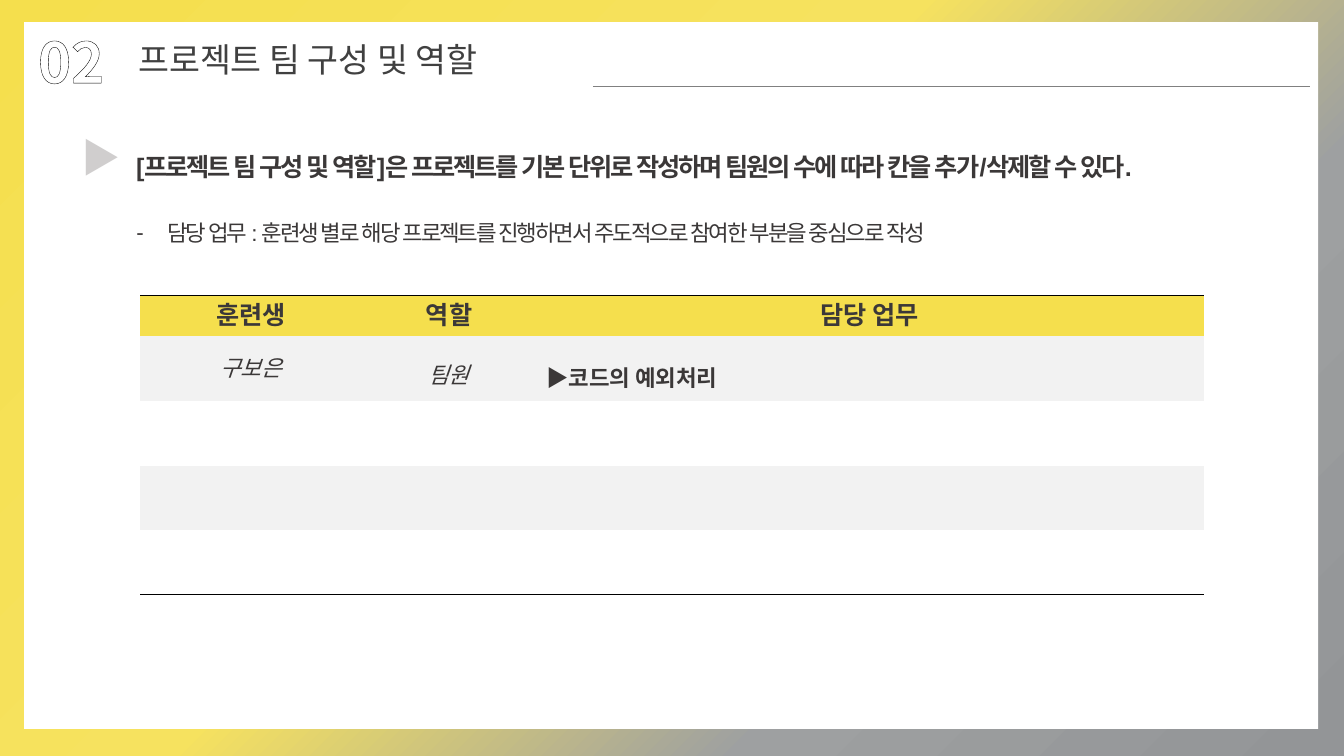
from lxml.etree import SubElement as Sub
from pptx import Presentation
from pptx.dml.color import RGBColor as Rgb
from pptx.enum.dml import MSO_PATTERN as Pat
from pptx.enum.shapes import MSO_CONNECTOR as Conn, MSO_SHAPE as Shape
from pptx.enum.text import MSO_ANCHOR as Anchor, MSO_AUTO_SIZE as Auto, PP_ALIGN as Align
from pptx.oxml import parse_xml
from pptx.oxml.ns import qn
from pptx.util import Cm, Pt

INK = {"white": "FFFFFF", "black": "000000", "text": "3B3838", "title": "404040",
       "rule": "808080", "gray": "939597", "pale": "D0CECE", "band": "F2F2F2",
       "gold": "F5DF4D", "sun": "F6E25F", "ash": "9EA0A1"}
NOTO, ARIAL, CALI = "Noto Sans CJK KR", "Arial", "Calibri"
NS = 'xmlns:a="http://schemas.openxmlformats.org/drawingml/2006/main"'
PLAIN = "{2D5ABB26-0587-4C30-8999-92F81FD0307C}"


def rgb(name):
    return Rgb.from_string(INK[name])


def edge(tag, color, width):
    return parse_xml(f'<a:{tag} {NS} w="{int(Pt(width))}"><a:solidFill>'
                     f'<a:srgbClr val="{INK[color]}"/></a:solidFill></a:{tag}>')


def write(para, text, size, face, color="text", back=None, bold=False,
          slant=False, line=None, gap=None):
    """Add one run; back makes a striped fill, line is (colour, points)."""
    run = para.add_run()
    run.text = text
    font = run.font
    font.size, font.bold, font.italic = Pt(size), bold, slant
    if back:
        font.fill.patterned()
        font.fill.pattern = Pat.DARK_UPWARD_DIAGONAL
        font.fill.fore_color.rgb = rgb(color)
        font.fill.back_color.rgb = rgb(back)
    else:
        font.color.rgb = rgb(color)
    font.name = face
    props = font._element
    Sub(props, qn("a:ea")).set("typeface", face)
    if line:
        props.insert(0, edge("ln", *line))
    if gap:
        props.set("spc", str(int(gap * 100)))


def place(shape, x, y, w, h):
    shape.left, shape.top, shape.width, shape.height = Cm(x), Cm(y), Cm(w), Cm(h)
    frame = shape.text_frame
    frame.word_wrap, frame.auto_size = True, Auto.NONE
    frame.vertical_anchor = Anchor.TOP
    para = frame.paragraphs[0]
    para.alignment, para.space_before = Align.LEFT, Pt(0)
    return para


def label(slide, *box):
    return place(slide.shapes.add_textbox(0, 0, 0, 0), *box)


# Gradient border and white sheet
def sheet(slide, x, y, w, h):
    fill = slide.background.fill
    fill.gradient()
    grad = slide.background._cSld.find(".//" + qn("a:gradFill"))
    stops = grad.find(qn("a:gsLst"))
    for old in list(stops):
        stops.remove(old)
    for pos, name in ((0, "gold"), (44, "sun"), (71, "ash"), (100, "gray")):
        stop = Sub(stops, qn("a:gs"), pos=str(pos * 1000))
        Sub(stop, qn("a:srgbClr"), val=INK[name])
    grad.find(qn("a:lin")).set("ang", str(45 * 60000))

    page = slide.shapes.add_shape(Shape.RECTANGLE, Cm(x), Cm(y), Cm(w), Cm(h))
    page.shadow.inherit = False
    page.fill.solid()
    page.fill.fore_color.rgb = rgb("white")
    page.line.fill.background()


# Section number, title and rule
def head(slide, x, y, w):
    num = label(slide, x, y, 3.23, 1.96)
    write(num, "02", 40, NOTO, back="white", bold=True, line=("black", 1.25))

    title = slide.shapes.title
    para = place(title, x + 2.52, y + 0.3, 10.77, 1.27)
    title.text_frame.word_wrap = False
    write(para, "프로젝트 팀 구성 및 역할", 24, NOTO, "title")

    rule = slide.shapes.add_connector(Conn.STRAIGHT, Cm(x + 14.23), Cm(y + 1.62),
                                      Cm(x + w), Cm(y + 1.62))
    rule.line.color.rgb, rule.line.width = rgb("rule"), Pt(1)
    Sub(rule._element.spPr, qn("a:effectLst"))


# Lead sentence with its marker and the dash item
def intro(slide, x, y, w):
    mark = label(slide, x, y, 1.4, 1.45)
    write(mark, "▶", 28, NOTO, "gray", back="pale", bold=True, line=("gray", 1))

    lead = label(slide, x + 1.38, y + 0.08, w - 1.38, 1.42)
    lead.line_spacing = 1.5
    write(lead, "[프로젝트 팀 구성 및 역할]은 프로젝트를 기본 단위로 작성하며 "
                "팀원의 수에 따라 칸을 추가/삭제할 수 있다.",
          18, ARIAL, bold=True, gap=-1.5)

    item = place(slide.placeholders[1], x + 1.38, y + 2.16, 25, 0.94)
    props = item._p.get_or_add_pPr()
    props.set("marL", str(int(Cm(0.79))))
    props.set("indent", str(-int(Cm(0.79))))
    Sub(props, qn("a:buFont"), typeface=ARIAL)
    Sub(props, qn("a:buChar"), char="-")
    write(item, "담당 업무 : 훈련생 별로 해당 프로젝트를 진행하면서 "
                "주도적으로 참여한 부분을 중심으로 작성", 16, ARIAL, gap=-1.5)


# Team table
def team(slide, x, y, w):
    wides, talls = (5.59, 4.39, w - 9.98), (0.76,) + (1.63,) * 4
    grid = slide.shapes.add_table(len(talls), len(wides), Cm(x), Cm(y),
                                  Cm(w), Cm(sum(talls))).table
    grid.first_row = grid.horz_banding = False
    grid._tbl.tblPr.find(qn("a:tableStyleId")).text = PLAIN
    for col, wide in zip(grid.columns, wides):
        col.width = Cm(wide)
    for row, tall in zip(grid.rows, talls):
        row.height = Cm(tall)

    last = len(talls) - 1
    for r in range(len(talls)):
        for c in range(len(wides)):
            cell = grid.cell(r, c)
            cell.vertical_anchor = Anchor.MIDDLE
            cell.fill.solid()
            shade = "gold" if r == 0 else "band" if r % 2 else "white"
            cell.fill.fore_color.rgb = rgb(shade)
            if r in (0, last):
                side = "lnB" if r else "lnT"
                cell._tc.get_or_add_tcPr().insert(0, edge(side, "black", 0.75))

    top = dict(size=18, face=CALI, bold=True)
    name = dict(size=16, face=CALI, slant=True)
    duty = dict(size=16, face=NOTO, bold=True, line=("gray", 1))
    texts = ((0, 0, "훈련생", Align.CENTER, 1, top),
             (0, 1, "역할", Align.CENTER, 1, top),
             (0, 2, "담당 업무", Align.CENTER, 1, top),
             (1, 0, "구보은", Align.CENTER, 1, name),
             (1, 1, "팀원", Align.CENTER, 1.5, name),
             (1, 2, "▶코드의 예외처리", Align.LEFT, 1.5, duty))
    for r, c, text, side, space, style in texts:
        para = grid.cell(r, c).text_frame.paragraphs[0]
        para.alignment, para.line_spacing = side, space
        write(para, text, **style)


def main():
    deck = Presentation()
    deck.slide_width, deck.slide_height = Cm(33.87), Cm(19.05)
    slide = deck.slides.add_slide(deck.slide_layouts[1])
    sheet(slide, 0.61, 0.56, 32.61, 17.81)
    # Send the sheet behind the placeholders
    tree = slide.shapes._spTree
    tree.insert(2, tree[-1])
    head(slide, 0.71, 0.56, 32.31)
    intro(slide, 1.8, 3.23, 29.73)
    team(slide, 3.53, 7.44, 26.8)
    deck.save("out.pptx")


if __name__ == "__main__":
    main()
